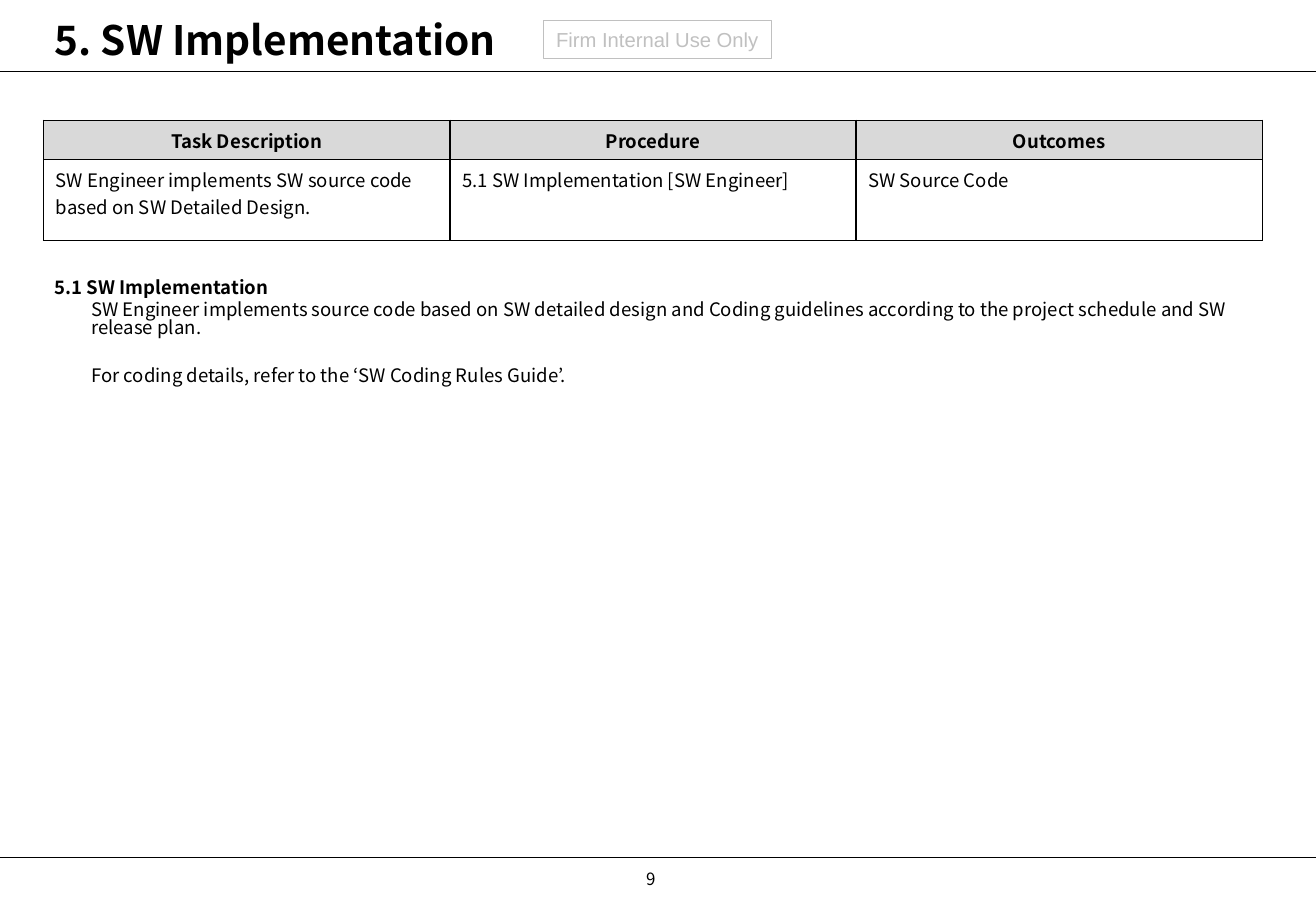
from lxml import etree
from pptx import Presentation, util as u
from pptx.dml.color import RGBColor
from pptx.enum import shapes, text
from pptx.oxml import ns

BLACK = RGBColor(0x00, 0x00, 0x00)
GREY = RGBColor(0xC0, 0xC0, 0xC0)
HEADER = RGBColor(0xD9, 0xD9, 0xD9)
FONT = "Noto Sans CJK KR"
WIDTH, HEIGHT = u.Inches(10.83), u.Inches(7.5)
LEFT, MIDDLE, CENTER = text.PP_ALIGN.LEFT, text.MSO_ANCHOR.MIDDLE, text.PP_ALIGN.CENTER

TABLE = [
    ["Task Description", "Procedure", "Outcomes"],
    ["SW Engineer implements SW source code based on SW Detailed Design.",
     "5.1 SW Implementation [SW Engineer]", "SW Source Code"],
]
BODY = [
    ("5.1 SW Implementation", 0, 2.2),
    ("SW Engineer implements source code based on SW detailed design and Coding "
     "guidelines according to the project schedule and SW release plan.", 0.3, 2.2),
    ("For coding details, refer to the ‘SW Coding Rules Guide’.", 0.3, 17.8),
]


def grid(x, y, w, h):
    """Turn percentages of the slide into left, top, width and height."""
    return (int(WIDTH * x / 100), int(HEIGHT * y / 100),
            int(WIDTH * w / 100), int(HEIGHT * h / 100))


def write(p, words, size=11, font=FONT, color=BLACK, bold=False, align=LEFT):
    """Add one formatted run to a paragraph."""
    p.alignment = align
    r = p.add_run()
    r.text = words
    r.font.size, r.font.name, r.font.bold = u.Pt(size), font, bold
    r.font.color.rgb = color


def place(sp, *area):
    """Move a shape to a grid area."""
    sp.left, sp.top, sp.width, sp.height = grid(*area)


def add_rule(s, y):
    """Draw a line across the whole slide."""
    x, y, w, _ = grid(0, y, 100, 0)
    line = s.shapes.add_connector(shapes.MSO_CONNECTOR.STRAIGHT, x, y, w, y)
    line.line.color.rgb, line.line.width = BLACK, u.Pt(0.75)
    etree.SubElement(line._element.spPr, ns.qn("a:effectLst"))


def add_badge(s, words):
    """Draw the outlined confidentiality badge."""
    sp = s.shapes.add_shape(shapes.MSO_SHAPE.RECTANGLE, *grid(41.27, 2.23, 17.36, 4.2))
    sp.shadow.inherit = False
    sp.fill.background()
    sp.line.color.rgb, sp.line.width = GREY, u.Pt(0.75)
    tf = sp.text_frame
    tf.word_wrap, tf.vertical_anchor = False, MIDDLE
    write(tf.paragraphs[0], words, size=12, font="Arial", color=GREY, align=CENTER)


def fill_title(sp, words):
    """Place and format the title."""
    place(sp, 3.23, 1.07, 90.03, 6.4)
    tf = sp.text_frame
    tf.auto_size, tf.vertical_anchor = text.MSO_AUTO_SIZE.NONE, MIDDLE
    write(tf.paragraphs[0], words, size=24, bold=True)


def fill_body(sp, items):
    """Place the body and write its heading and indented paragraphs."""
    place(sp, 3.23, 30, 91.78, 58.8)
    tf = sp.text_frame
    tf.auto_size = text.MSO_AUTO_SIZE.NONE
    for i, (words, indent, before) in enumerate(items):
        p = tf.add_paragraph() if i else tf.paragraphs[0]
        p.level = 1 if indent else 0
        p.line_spacing, p.space_before = 0.82, u.Pt(before)
        pPr = p._p.get_or_add_pPr()
        pPr.set("marL", str(u.Inches(indent)))
        pPr.set("indent", "0")
        etree.SubElement(pPr, ns.qn("a:buNone"))
        write(p, words, bold=not indent)


def add_borders(cell):
    """Give a cell black lines on all four sides."""
    tcPr = cell._tc.get_or_add_tcPr()
    for side in "LRTB":
        ln = etree.SubElement(tcPr, ns.qn(f"a:ln{side}"), w=str(u.Pt(1)))
        fill = etree.SubElement(ln, ns.qn("a:solidFill"))
        etree.SubElement(fill, ns.qn("a:srgbClr"), val=str(BLACK))


def add_task_table(s, rows):
    """Add the task table with a shaded header row."""
    area = grid(3.32, 13.2, 92.61, 12.67)
    table = s.shapes.add_table(len(rows), len(rows[0]), *area).table
    for row, height in zip(table.rows, (0.28, 0.67)):
        row.height = u.Inches(height)
    for i, row in enumerate(rows):
        for j, words in enumerate(row):
            cell = table.cell(i, j)
            add_borders(cell)
            if i == 0:
                cell.fill.solid()
                cell.fill.fore_color.rgb = HEADER
            else:
                cell.fill.background()
            write(cell.text_frame.paragraphs[0], words, bold=i == 0,
                  align=LEFT if i else CENTER)


def add_page_number(s, number):
    """Write the page number below the footer rule."""
    tf = s.shapes.add_textbox(*grid(37.77, 94.67, 23.36, 5.33)).text_frame
    tf.word_wrap = True
    write(tf.paragraphs[0], number, size=10, align=CENTER)


def main():
    """Build the slide and save it."""
    prs = Presentation()
    prs.slide_width, prs.slide_height = WIDTH, HEIGHT
    s = prs.slides.add_slide(prs.slide_layouts[1])
    for y in (94.13, 7.87):
        add_rule(s, y)
    add_badge(s, "Firm Internal Use Only")
    fill_title(s.shapes.title, "5. SW Implementation")
    fill_body(s.placeholders[1], BODY)
    add_task_table(s, TABLE)
    add_page_number(s, "9")
    prs.save("out.pptx")


main()
